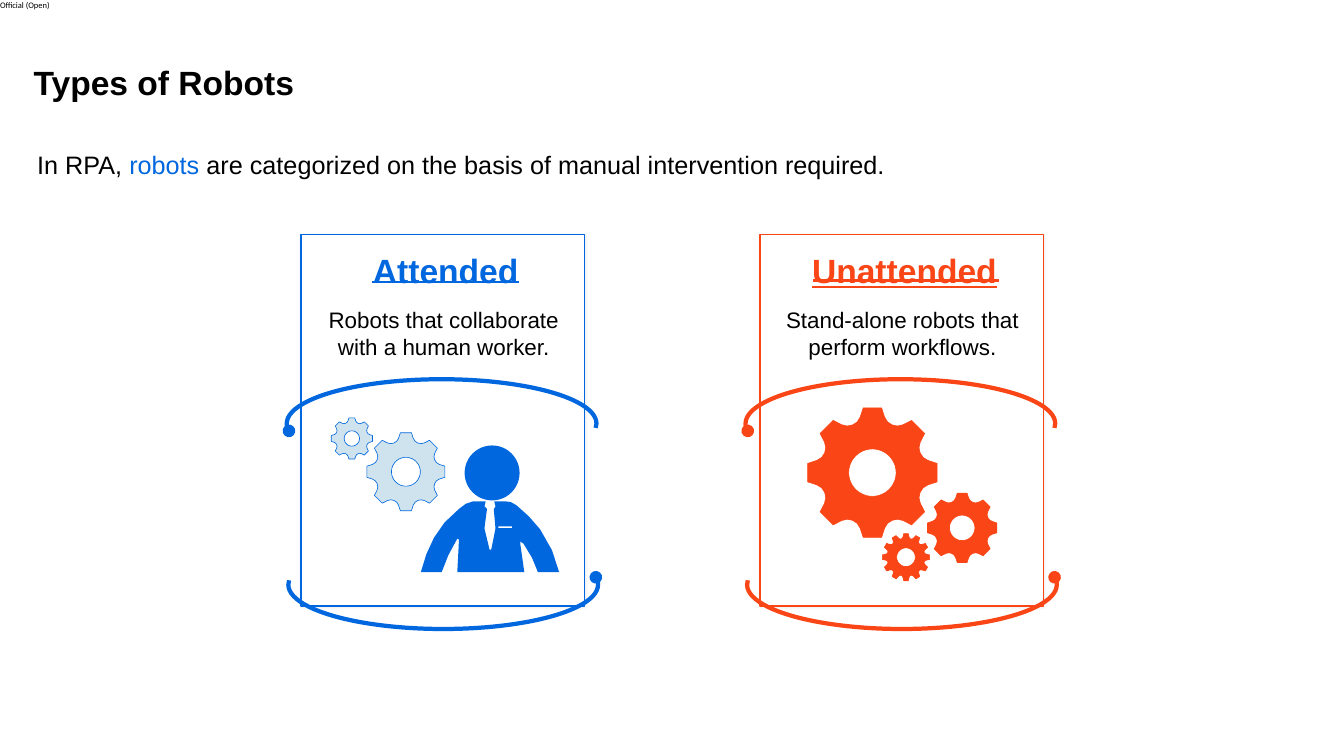
from math import cos, pi, sin

from lxml import etree
from pptx import Presentation
from pptx.dml.color import RGBColor
from pptx.enum.shapes import MSO_CONNECTOR, MSO_SHAPE
from pptx.enum.text import MSO_ANCHOR, PP_ALIGN
from pptx.oxml.ns import qn
from pptx.util import Pt

RECT, ARC = MSO_SHAPE.RECTANGLE, MSO_SHAPE.ARC
LINE = MSO_CONNECTOR.STRAIGHT
TOP = MSO_ANCHOR.TOP
LEFT, MID = PP_ALIGN.LEFT, PP_ALIGN.CENTER
BLUE, RED, BLACK, WHITE, PALE = "0067DF", "FA4616", "000000", "FFFFFF", "CEE3ED"

TAG = "Official (Open)"
TITLE = "Types of Robots"
INTRO = [("In RPA, ", BLACK), ("robots", BLUE),
         (" are categorized on the basis of manual intervention required.", BLACK)]
CARDS = [
    dict(head="Attended", note="Robots that collaborate with a human worker.",
         hue=BLUE, fill=PALE, under=False, rule=(438.5, 612, 332.6),
         gears=[(414.7, 517, 24.5, 9, 8), (478.4, 556.2, 46.4, 17, 8)]),
    dict(head="Unattended", note="Stand-alone robots that perform workflows.",
         hue=RED, fill=RED, under=True, rule=(958.3, 1177.2, 330.5),
         gears=[(1028.2, 557.3, 77, 28, 8), (1134, 622.4, 41.2, 15, 8),
                (1067.8, 657, 28, 11, 12)]),
]
LEAD, STEP = 355, 540.7
TOOTH = [(0.18, 1), (0.275, 0.87), (0.37, 0.81), (0.5, 0.79),
         (0.63, 0.81), (0.725, 0.87), (0.82, 1)]
HEAD = (580, 557.6, 32.4)
SUIT = [(595, 591), (582.5, 591), (584, 597), (582, 600.5), (584, 623), (579, 648),
        (577, 648), (571, 623), (574, 600), (571, 597), (572.5, 591), (558, 591),
        (549, 594), (541, 600), (524, 616), (511.5, 634), (502.5, 653.5), (496, 674.6),
        (520.5, 674.6), (528.5, 654.5), (539, 635), (541, 636), (539, 674.6),
        (618, 674.6), (613.5, 643), (613.5, 638.5), (617, 641), (627, 657.5),
        (634, 674.6), (659, 674.6), (650.5, 648.5), (636.5, 624), (623.5, 609),
        (608.5, 595.5), (602, 592)]
PATCH = [(587.5, 620.6), (603.5, 620.6), (603.5, 622.8), (587.5, 622.8)]

deck = Presentation()
deck.slide_width, deck.slide_height = Pt(1584), Pt(891.36)
slide = deck.slides.add_slide(deck.slide_layouts[5])
shapes = slide.shapes


def rgb(code):
    return RGBColor.from_string(code)


def put(frame, text, size=26.4, font="Arial", hue=BLACK, bold=False, under=False,
        align=LEFT, space=1.0, pad=(7.2, 3.6)):
    frame.word_wrap = True
    frame.vertical_anchor = TOP
    frame.margin_left = frame.margin_right = Pt(pad[0])
    frame.margin_top = frame.margin_bottom = Pt(pad[1])
    para = frame.paragraphs[0]
    para.alignment, para.line_spacing = align, space
    for words, tint in [(text, hue)] if isinstance(text, str) else text:
        run = para.add_run()
        run.text = words
        face = run.font
        face.name, face.size, face.bold, face.underline = font, Pt(size), bold, under
        face.color.rgb = rgb(tint)


def box(x, y, wide, high, text, **fmt):
    put(shapes.add_textbox(Pt(x), Pt(y), Pt(wide), Pt(high)).text_frame, text, **fmt)


def paint(shape, fill, hue=None, width=0.75):
    shape.shadow.inherit = False
    if fill:
        shape.fill.solid()
        shape.fill.fore_color.rgb = rgb(fill)
    else:
        shape.fill.background()
    if hue:
        shape.line.color.rgb = rgb(hue)
        shape.line.width = Pt(width)
    else:
        shape.line.fill.background()


def ring(x, y, size, count=48):
    turns = [2 * pi * i / count for i in range(count)]
    return [(x + size * cos(a), y + size * sin(a)) for a in turns]


def gear(x, y, size, hole, teeth):
    rim = [(2 * pi * (i + part) / teeth, size * far)
           for i in range(teeth) for part, far in TOOTH]
    return [[(x + r * sin(a), y - r * cos(a)) for a, r in rim], ring(x, y, hole)]


def trace(loops, fill, hue=None):
    pen = None
    for loop in loops:
        spots = [(Pt(x), Pt(y)) for x, y in loop]
        if pen is None:
            pen = shapes.build_freeform(*spots[0], scale=1.0)
        else:
            pen.move_to(*spots[0])
        pen.add_line_segments(spots[1:], close=True)
    paint(pen.convert_to_shape(), fill, hue)


def glow(shape):
    holder = shape._element.spPr.find(qn("a:effectLst"))
    shade = etree.SubElement(holder, qn("a:outerShdw"), blurRad=str(Pt(3)), dist="0")
    tint = etree.SubElement(shade, qn("a:srgbClr"), val=BLACK)
    etree.SubElement(tint, qn("a:alpha"), val="5000")


def arc(x, y, hue, turn):
    bow = shapes.add_shape(ARC, Pt(x), Pt(y), Pt(365), Pt(104.4))
    bow.adjustments[0], bow.adjustments[1] = 106.33, 0.99
    bow.rotation = turn
    paint(bow, None, hue, 5)
    etree.SubElement(bow.line._get_or_add_ln(), qn("a:headEnd"), type="oval")


def rule(start, end, y, hue):
    bar = shapes.add_connector(LINE, Pt(start), Pt(y), Pt(end), Pt(y))
    bar.line.color.rgb = rgb(hue)
    bar.line.width = Pt(3)
    etree.SubElement(bar._element.spPr, qn("a:effectLst"))


box(0, 0, 61.2, 12.2, TAG, size=10, font="Calibri", pad=(0, 0))
title = shapes.title
title.left, title.top, title.width, title.height = Pt(32.4), Pt(80), Pt(1281.6), Pt(63.4)
put(title.text_frame, TITLE, size=39.6, bold=True, space=0.75)
box(36.7, 172, 1297.4, 43.2, INTRO, size=29.7)

for i, card in enumerate(CARDS):
    x, hue = LEAD + i * STEP, card["hue"]
    frame = shapes.add_shape(RECT, Pt(x), Pt(276.5), Pt(334), Pt(437.8))
    paint(frame, WHITE, hue, 2)
    glow(frame)
    arc(x - 15.2, 637.2, hue, 180)
    arc(x - 17, 447.1, hue, 0)
    box(x + 5, 265, 330.5, 62.6, card["head"], size=39.6, hue=hue, bold=True,
        under=card["under"], align=MID, space=1.5, pad=(11.5, 5.8))
    box(x + 14.6, 355.7, 306.7, 88.6, card["note"], align=MID, pad=(11.5, 5.8))
    rule(*card["rule"], hue)
    trace([loop for spec in card["gears"] for loop in gear(*spec)], card["fill"], hue)

trace([ring(*HEAD), SUIT, PATCH], BLUE)

deck.save("out.pptx")
